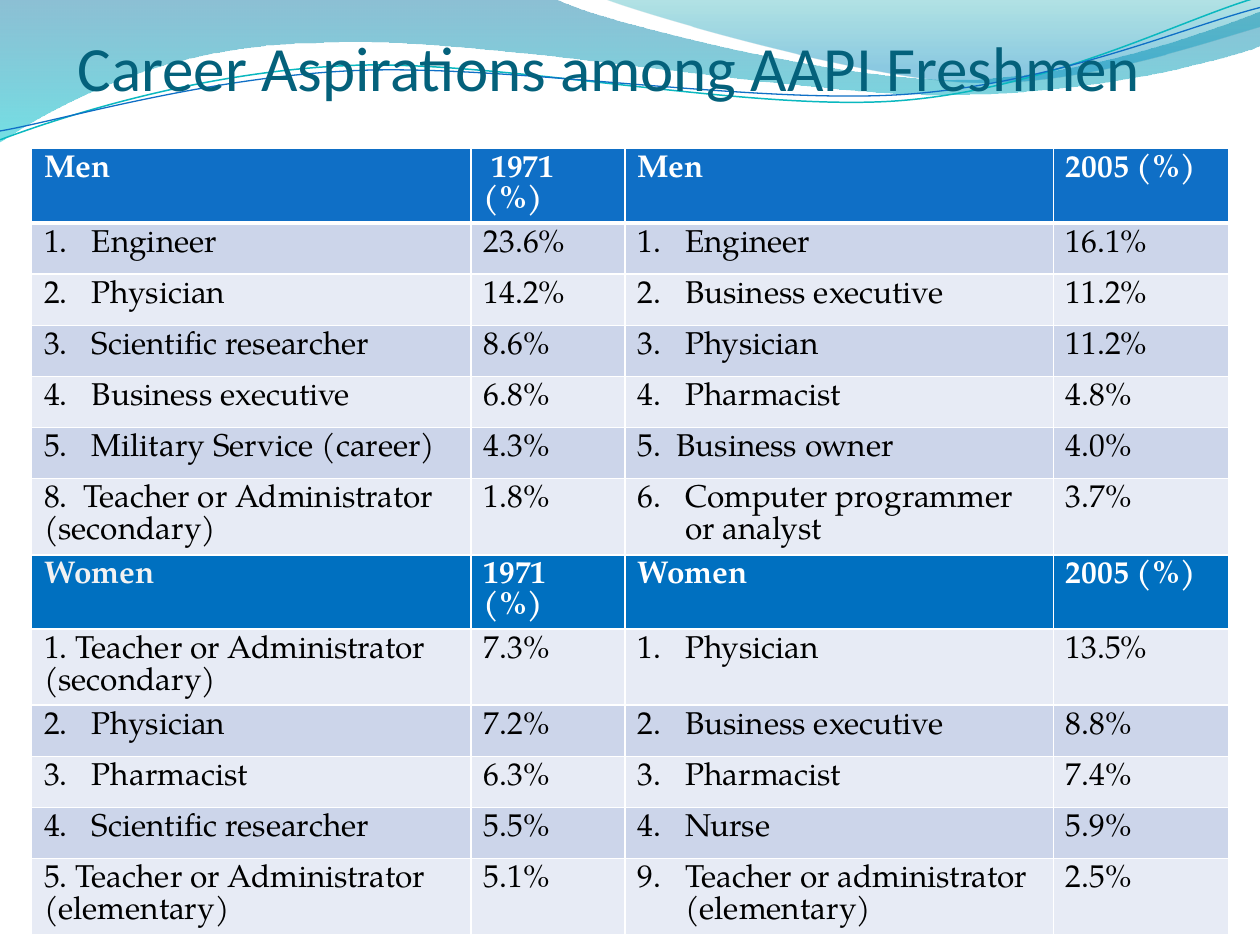
import math

from lxml import etree
from pptx import Presentation
from pptx import util as u
from pptx.dml.color import RGBColor
from pptx.enum import text
from pptx.oxml import ns

WHITE = RGBColor(0xFF, 0xFF, 0xFF)
PALE = RGBColor(0xF2, 0xF2, 0xF2)
BLACK = RGBColor(0, 0, 0)
TEAL = RGBColor(0x04, 0x61, 0x7B)
BLUE = RGBColor(0x0F, 0x6F, 0xC6)
AZURE = RGBColor(0x00, 0x70, 0xC0)
AQUA = RGBColor(0x0A, 0xB8, 0xBF)
DARK = RGBColor(0xCC, 0xD5, 0xEA)
LIGHT = RGBColor(0xE7, 0xEB, 0xF5)
HANG = 0.38
TILT = -2.7

# Waves: (x, y) joins a line, six numbers make a curve
BAND = [(0, -0.01), (4.4, -0.01), (4.76, 0.17, 6.64, 0.63, 7.58, 0.63),
        (8.53, 0.63, 9.58, 0.26, 10, 0.09), (10.01, 0.36),
        (9.83, 0.44, 8.7, 0.76, 7.46, 0.75),
        (6.22, 0.75, 3.82, 0.28, 2.57, 0.34),
        (1.29, 0.35, 0.46, 0.83, -0.01, 1.13)]
CREST = [(4.79, -0.01), (5.09, 0.11, 6.82, 0.62, 7.69, 0.65),
         (8.56, 0.69, 9.61, 0.32, 10, 0.21), (10, 0)]
UPPER = [(0, 1.11), (0.48, 0.93, 1.58, 0.57, 2.77, 0.52),
         (3.95, 0.47, 5.93, 0.89, 7.13, 0.8),
         (8.33, 0.71, 9.38, 0.15, 9.98, -0.02)]
LOWER = [(0, 1.04), (0.47, 0.96, 1.64, 0.61, 2.83, 0.56),
         (4.03, 0.51, 5.97, 0.83, 7.17, 0.75),
         (8.36, 0.67, 9.41, 0.21, 10, 0.06)]
BAND_FILL = [(0, RGBColor(0x00, 0x74, 0xA1), 45),
             (1, RGBColor(0x00, 0xC6, 0xCF), 55)]
CREST_FILL = [(0, RGBColor(0x00, 0xA1, 0xA9), 30),
              (0.8, RGBColor(0x00, 0x8B, 0xBF), 45)]

# Jobs: a number sets an automatic rank, a plain string is typed in full
MEN = [
    ((1, "Engineer"), "23.6%", (1, "Engineer"), "16.1%"),
    ((2, "Physician"), "14.2%", (2, "Business executive"), "11.2%"),
    ((3, "Scientific researcher"), "8.6%", (3, "Physician"), "11.2%"),
    (("4.\tBusiness executive", HANG), "6.8%", (4, "Pharmacist"), "4.8%"),
    (("5.\tMilitary Service (career)", HANG), "4.3%",
     ("5.\tBusiness owner", 0.31), "4.0%"),
    (("8.\tTeacher or Administrator (secondary)", 0), "1.8%",
     ("6.\tComputer programmer or analyst", HANG), "3.7%"),
]
WOMEN = [
    ("1. Teacher or Administrator (secondary)", "7.3%",
     (1, "Physician"), "13.5%"),
    ((2, "Physician"), "7.2%", (2, "Business executive"), "8.8%"),
    ((3, "Pharmacist"), "6.3%", (3, "Pharmacist"), "7.4%"),
    ((4, "Scientific researcher"), "5.5%", (4, "Nurse"), "5.9%"),
    ("5. Teacher or Administrator (elementary)", "5.1%",
     (9, "Teacher or administrator (elementary)"), "2.5%"),
]
HEADS = ["1971 (%)", "2005 (%)"]
COLS = [3.49, 1.22, 3.4, 1.39]


def put(obj, form):
    for key, val in form.items():
        setattr(obj, key, val)


def add(node, tag, **attrs):
    return etree.SubElement(node, ns.qn(tag), attrs)


def level(path, mid):
    """Turn a tilted path back to level about its middle."""
    turn = math.radians(-TILT)
    cos, sin = math.cos(turn), math.sin(turn)
    flat = []
    for seg in path:
        new = []
        for x, y in zip(seg[::2], seg[1::2]):
            dx, dy = x - mid[0], y - mid[1]
            new += [mid[0] + dx * cos - dy * sin, mid[1] + dx * sin + dy * cos]
        flat.append(tuple(new))
    return flat


def draw(slide, path, close):
    """Outline the end points, then bend the sides that are curves."""
    ends = [(u.Inches(s[-2]), u.Inches(s[-1])) for s in path]
    pen = slide.shapes.build_freeform(*ends[0])
    pen.add_line_segments(ends[1:], close=close)
    shape = pen.convert_to_shape()
    shape.shadow.inherit = False
    sides = list(shape._element.spPr.iter(ns.qn("a:lnTo")))
    for side, seg in zip(sides, path[1:]):
        if len(seg) == 6:
            bend = etree.Element(ns.qn("a:cubicBezTo"))
            for x, y in zip(seg[::2], seg[1::2]):
                add(bend, "a:pt", x=str(u.Inches(x) - shape.left),
                    y=str(u.Inches(y) - shape.top))
            side.getparent().replace(side, bend)
    return shape


def add_wave(slide, path, stops):
    shape = draw(slide, path, True)
    shape.line.fill.background()
    shape.fill.gradient()
    shape.fill.gradient_angle = 270
    for stop, (pos, color, alpha) in zip(shape.fill.gradient_stops, stops):
        stop.position = pos
        stop.color.rgb = color
    tones = shape._element.spPr.iter(ns.qn("a:srgbClr"))
    for tone, (pos, color, alpha) in zip(tones, stops):
        add(tone, "a:alpha", val=str(alpha * 1000))


def add_curve(slide, path, mid, color, width):
    shape = draw(slide, level(path, mid), False)
    shape.rotation = TILT
    shape.fill.background()
    shape.line.color.rgb = color
    shape.line.width = u.Pt(width)


def set_title(slide, words):
    title = slide.shapes.title
    put(title, dict(left=u.Inches(0.25), top=u.Inches(0.25),
                    width=u.Inches(9.17), height=u.Inches(0.58)))
    frame = title.text_frame
    put(frame, dict(text=words, word_wrap=True, margin_left=0, margin_right=0,
                    margin_top=u.Inches(0.05), margin_bottom=0,
                    auto_size=text.MSO_AUTO_SIZE.NONE,
                    vertical_anchor=text.MSO_ANCHOR.BOTTOM))
    par = frame.paragraphs[0]
    par.alignment = text.PP_ALIGN.CENTER
    put(par.runs[0].font, dict(name="Calibri", size=u.Pt(36), bold=False))
    par.runs[0].font.color.rgb = TEAL
    slide.shapes._spTree.append(title._element)  # in front of the waves


def set_edges(cell, row):
    """White cell borders, thick below the first header row."""
    wide = {0: "a:lnB", 1: "a:lnT"}.get(row)
    props = cell._tc.get_or_add_tcPr()
    for i, tag in enumerate(("a:lnL", "a:lnR", "a:lnT", "a:lnB")):
        size = u.Pt(3 if tag == wide else 1)
        edge = etree.Element(ns.qn(tag), w=str(size))
        add(add(edge, "a:solidFill"), "a:srgbClr", val=str(WHITE))
        props.insert(i, edge)


def set_cell(cell, item, fill, color, bold):
    rank, hang = None, 0
    if isinstance(item, tuple):
        first, second = item
        if isinstance(first, int):
            rank, item, hang = first, second, HANG
        else:
            item, hang = first, second
    cell.fill.solid()
    cell.fill.fore_color.rgb = fill
    par = cell.text_frame.paragraphs[0]
    par.text = item
    props = par._p.get_or_add_pPr()
    if hang:
        size = u.Inches(hang)
        props.set("marL", str(size))
        props.set("indent", str(-size))
    if rank:
        add(props, "a:buFont", typeface="+mj-lt")
        add(props, "a:buAutoNum", type="arabicPeriod", startAt=str(rank))
    elif "\t" in item and not hang:
        tabs = add(props, "a:tabLst")
        add(tabs, "a:tab", pos=str(u.Inches(0.31)), algn="l")
    font = par.runs[0].font
    put(font, dict(name="TeX Gyre Pagella", size=u.Pt(18), bold=bold))
    font.color.rgb = color


def add_grid(slide):
    rows = [("Men", HEADS[0], "Men", HEADS[1]), *MEN,
            ("Women", HEADS[0], "Women", HEADS[1]), *WOMEN]
    heads = {0: BLUE, len(MEN) + 1: AZURE}
    box = [u.Inches(n) for n in (0.25, 1.18, sum(COLS), 5.28)]
    grid = slide.shapes.add_table(len(rows), len(COLS), *box).table
    put(grid, dict(first_row=False, horz_banding=False))
    for col, width in zip(grid.columns, COLS):
        col.width = u.Inches(width)
    for r, row in enumerate(rows):
        head = r in heads
        fill = heads.get(r, DARK if r % 2 else LIGHT)
        for c, item in enumerate(row):
            cell = grid.cell(r, c)
            set_cell(cell, item, fill, WHITE if head else BLACK, head)
            set_edges(cell, r)
    # Details of two header cells
    lead = grid.cell(0, 1).text_frame.paragraphs[0]
    lead._p.get_or_add_pPr().set("indent", str(u.Inches(0.06)))
    women = grid.cell(len(MEN) + 1, 0).text_frame.paragraphs[0]
    women.runs[0].font.color.rgb = PALE


def main():
    deck = Presentation()
    put(deck, dict(slide_width=u.Inches(10), slide_height=u.Inches(7.5)))
    slide = deck.slides.add_slide(deck.slide_layouts[5])
    add_wave(slide, BAND, BAND_FILL)
    add_wave(slide, CREST, CREST_FILL)
    add_curve(slide, UPPER, (4.99, 0.58), AQUA, 0.85)
    add_curve(slide, LOWER, (5, 0.59), BLUE, 0.75)
    set_title(slide, "Career Aspirations among AAPI Freshmen")
    add_grid(slide)
    deck.save("out.pptx")


if __name__ == "__main__":
    main()
